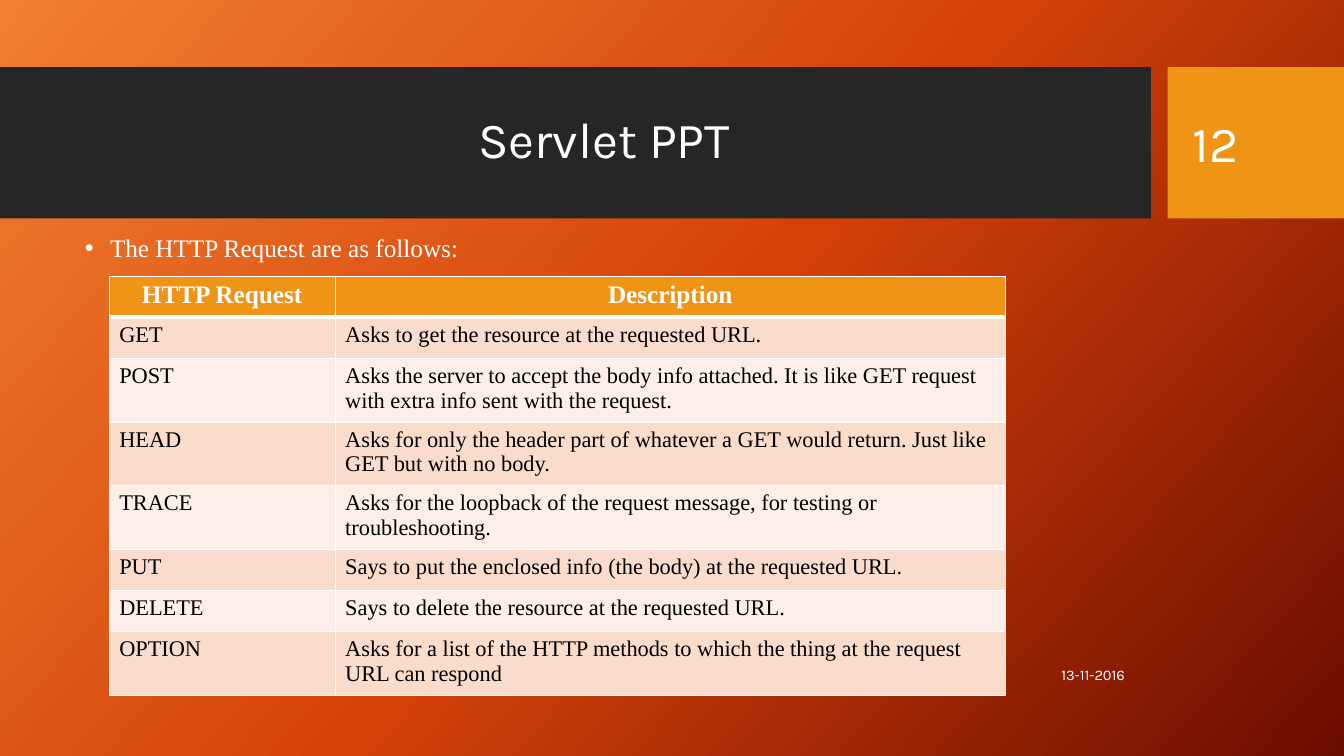
from copy import deepcopy

from lxml.etree import SubElement
from pptx import Presentation
from pptx.dml.color import RGBColor
from pptx.enum.shapes import MSO_SHAPE
from pptx.enum.text import MSO_ANCHOR, PP_ALIGN
from pptx.oxml.ns import qn
from pptx.util import Inches, Pt

COLUMNS, ROWS = 160, 90
WHITE, BLACK, DARK, AMBER = "FFFFFF", "000000", "262626", "F09415"
BANDS = ["FCEEE8", "F9DCCC"]
HEADING, BODY = "Karla", "Times New Roman"

REQUESTS = [
    ("HTTP Request", "Description"),
    ("GET", "Asks to get the resource at the requested URL."),
    ("POST", "Asks the server to accept the body info attached. It is like GET request "
             "with extra info sent with the request."),
    ("HEAD", "Asks for only the header part of whatever a GET would return. "
             "Just like GET but with no body."),
    ("TRACE", "Asks for the loopback of the request message, for testing or troubleshooting."),
    ("PUT", "Says to put the enclosed info (the body) at the requested URL."),
    ("DELETE", "Says to delete the resource at the requested URL."),
    ("OPTION", "Asks for a list of the HTTP methods to which the thing at the request "
               "URL can respond"),
]


def color(value):
    return RGBColor.from_string(value)


class SlideBuilder:
    def __init__(self, deck):
        self.slide = deck.slides.add_slide(deck.slide_layouts[1])
        self.column = deck.slide_width / COLUMNS
        self.row = deck.slide_height / ROWS

    def area(self, left, top, width, height):
        return (int(left * self.column), int(top * self.row),
                int(width * self.column), int(height * self.row))

    def background(self, shades, angle):
        fill = self.slide.background.fill
        fill.gradient()
        fill.gradient_angle = 360 - angle
        stop_list = next(self.slide.element.iter(qn("a:gsLst")))
        stop_list.insert(1, deepcopy(stop_list[0]))
        for stop, (position, shade) in zip(fill.gradient_stops, shades):
            stop.position = position
            stop.color.rgb = color(shade)

    def band(self, area, fill):
        shape = self.slide.shapes.add_shape(MSO_SHAPE.RECTANGLE, *self.area(*area))
        shape.shadow.inherit = False
        shape.fill.solid()
        shape.fill.fore_color.rgb = color(fill)
        shape.line.fill.background()
        shape.element.getparent().insert(2, shape.element)

    def put_text(self, frame, text, size, font, shade=WHITE, align=PP_ALIGN.LEFT, bold=False):
        frame.text = text
        para = frame.paragraphs[0]
        para.alignment = align
        for span in para.runs:
            span.font.size = Pt(size)
            span.font.name = font
            span.font.bold = bold
            span.font.color.rgb = color(shade)
        return para

    def place(self, box, area):
        box.left, box.top, box.width, box.height = self.area(*area)

    def title(self, text, area):
        box = self.slide.shapes.title
        self.place(box, area)
        box.text_frame.vertical_anchor = MSO_ANCHOR.MIDDLE
        para = self.put_text(box.text_frame, text, 36, HEADING, align=PP_ALIGN.CENTER)
        para.line_spacing = 0.9

    def bullet(self, text, area):
        box = self.slide.placeholders[1]
        self.place(box, area)
        para = self.put_text(box.text_frame, text, 18, BODY)
        para.line_spacing = 0.9
        para.space_before = Pt(10)
        properties = para._p.get_or_add_pPr()
        properties.set("marL", str(Inches(0.25)))
        properties.set("indent", str(-Inches(0.25)))
        SubElement(properties, qn("a:buFont"), typeface="Arial")
        SubElement(properties, qn("a:buChar"), char="•")

    def label(self, text, area, size, align=PP_ALIGN.LEFT):
        frame = self.slide.shapes.add_textbox(*self.area(*area)).text_frame
        frame.word_wrap = True
        frame.vertical_anchor = MSO_ANCHOR.MIDDLE
        self.put_text(frame, text, size, HEADING, align=align)

    def borders(self, cell, top, bottom):
        properties = cell._tc.get_or_add_tcPr()
        for side, width in zip(("lnL", "lnR", "lnT", "lnB"), (1, 1, top, bottom)):
            line = SubElement(properties, qn(f"a:{side}"), w=str(Pt(width)))
            SubElement(SubElement(line, qn("a:solidFill")), qn("a:srgbClr"), val=WHITE)

    def table(self, records, left, top, widths, height):
        area = self.area(left, top, sum(widths), height * len(records))
        table = self.slide.shapes.add_table(len(records), len(widths), *area).table
        for column, width in zip(table.columns, widths):
            column.width = int(width * self.column)
        for row, record in enumerate(records):
            header = row == 0
            for column, text in enumerate(record):
                cell = table.cell(row, column)
                self.borders(cell, 3 if row == 1 else 1, 3 if header else 1)
                cell.fill.solid()
                cell.fill.fore_color.rgb = color(AMBER if header else BANDS[row % 2])
                self.put_text(cell.text_frame, text, 18 if header else 16, BODY,
                              WHITE if header else BLACK,
                              PP_ALIGN.CENTER if header else PP_ALIGN.LEFT, header)


def main():
    deck = Presentation()
    deck.slide_width, deck.slide_height = Inches(13.33), Inches(7.5)
    page = SlideBuilder(deck)
    page.background([(0, "F18031"), (0.5, "D54209"), (1, "6A0D00")], 42)
    page.band((139, 8, 21, 18), AMBER)
    page.band((0, 8, 137, 18), DARK)
    page.title("Servlet PPT", (8.9, 9.8, 126.1, 14.2))
    page.label("12", (140.8, 9.8, 15.1, 14.3), 36)
    page.label("13-11-2016", (99.1, 77.9, 36, 4.8), 10.5, PP_ALIGN.RIGHT)
    page.bullet("The HTTP Request are as follows:", (8.9, 27.4, 126.1, 49.1))
    page.table(REQUESTS, 13, 32.9, (26.9, 79.8), 4.87)
    deck.save("out.pptx")


if __name__ == "__main__":
    main()
